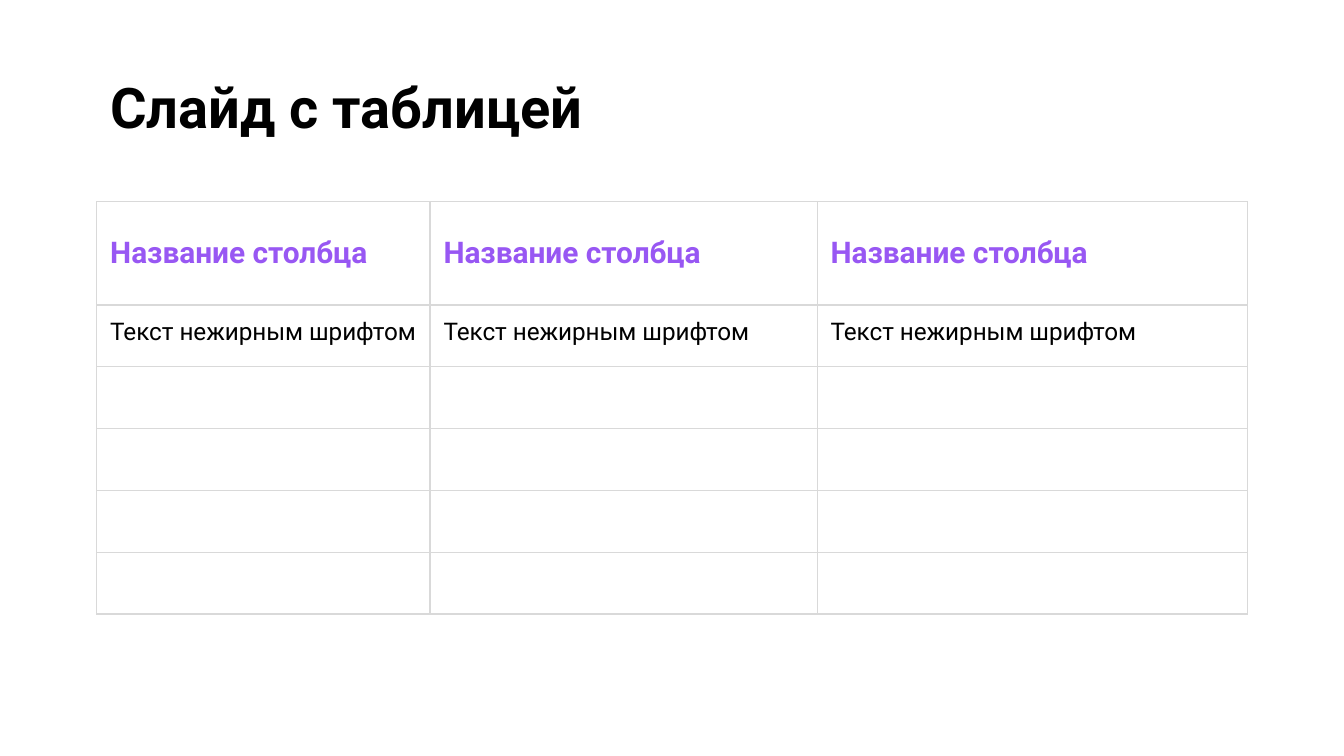
from lxml import etree
from pptx import Presentation
from pptx.dml.color import RGBColor
from pptx.enum.text import MSO_ANCHOR, PP_ALIGN
from pptx.oxml.ns import qn
from pptx.util import Inches, Pt

TOP, MIDDLE = MSO_ANCHOR.TOP, MSO_ANCHOR.MIDDLE
LEFT = PP_ALIGN.LEFT

# Content
TITLE = "Слайд с таблицей"
COLUMN_COUNT = 3
HEADER = ["Название столбца"] * COLUMN_COUNT
BODY = [["Текст нежирным шрифтом"] * COLUMN_COUNT] + [[""] * COLUMN_COUNT] * 4
ROWS = [HEADER] + BODY

# Style
FONT = "Roboto"
BLACK = RGBColor(0x00, 0x00, 0x00)
WHITE = RGBColor(0xFF, 0xFF, 0xFF)
PURPLE = RGBColor(0x98, 0x57, 0xF3)
GRID_GREY = RGBColor(0xD9, 0xD9, 0xD9)
INSET = Inches(0.1)

# Layout: a 16:9 slide, other lengths in inches
SLIDE_WIDTH = Inches(10)
SLIDE_HEIGHT = SLIDE_WIDTH * 9 // 16
MARGIN = 0.72
TITLE_TOP, TITLE_WIDTH, TITLE_HEIGHT = 0.44, 9.32, 1.2
TABLE_TOP = 1.5
COLUMN_WIDTHS = [2.48, 2.88, 3.2]
ROW_HEIGHTS = [0.77] + [0.46] * len(BODY)


def write(para, text, size, color, bold):
    para.alignment = LEFT
    span = para.add_run()
    span.text = text
    span.font.name = FONT
    span.font.size = Pt(size)
    span.font.bold = bold
    span.font.color.rgb = color


def set_insets(target):
    target.margin_left = target.margin_right = INSET
    target.margin_top = target.margin_bottom = INSET


def add_borders(cell):
    properties = cell._tc.get_or_add_tcPr()
    for side in ("a:lnL", "a:lnR", "a:lnT", "a:lnB"):
        line = etree.SubElement(properties, qn(side), w=str(Pt(0.75)))
        fill = etree.SubElement(line, qn("a:solidFill"))
        etree.SubElement(fill, qn("a:srgbClr"), val=str(GRID_GREY))


deck = Presentation()
deck.slide_width, deck.slide_height = SLIDE_WIDTH, SLIDE_HEIGHT
page = deck.slides.add_slide(deck.slide_layouts[5])
page.background.fill.solid()
page.background.fill.fore_color.rgb = WHITE

# Title
title = page.shapes.title
title.left, title.top = Inches(MARGIN), Inches(TITLE_TOP)
title.width, title.height = Inches(TITLE_WIDTH), Inches(TITLE_HEIGHT)
frame = title.text_frame
frame.word_wrap = True
frame.vertical_anchor = TOP
set_insets(frame)
write(frame.paragraphs[0], TITLE, 30, BLACK, True)

# Table
table = page.shapes.add_table(
    len(ROWS), COLUMN_COUNT, Inches(MARGIN), Inches(TABLE_TOP),
    Inches(sum(COLUMN_WIDTHS)), Inches(sum(ROW_HEIGHTS))).table
table.first_row = table.horz_banding = False
for column, width in zip(table.columns, COLUMN_WIDTHS):
    column.width = Inches(width)
for row, height in zip(table.rows, ROW_HEIGHTS):
    row.height = Inches(height)

# Cells
for row_index, texts in enumerate(ROWS):
    is_header = row_index == 0
    for column_index, text in enumerate(texts):
        cell = table.cell(row_index, column_index)
        add_borders(cell)
        cell.vertical_anchor = MIDDLE if is_header else TOP
        if is_header:
            cell.fill.solid()
            cell.fill.fore_color.rgb = WHITE
        else:
            cell.fill.background()
        if text:
            set_insets(cell)
            size, color = (16, PURPLE) if is_header else (13, BLACK)
            write(cell.text_frame.paragraphs[0], text, size, color, is_header)

deck.save("out.pptx")
